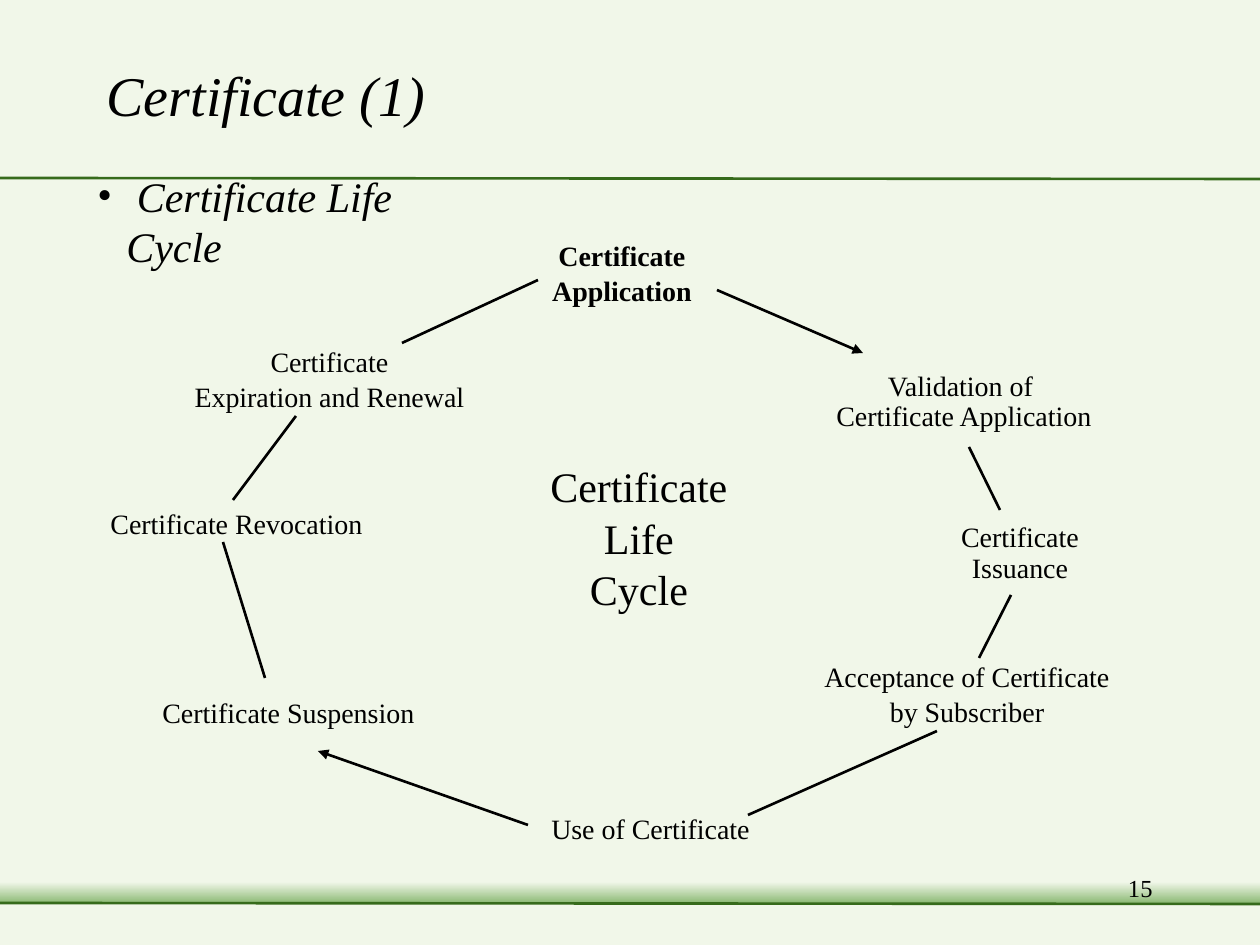
from lxml.etree import SubElement
from pptx import Presentation
from pptx.dml.color import RGBColor
from pptx.enum.shapes import MSO_CONNECTOR, MSO_SHAPE
from pptx.enum.text import MSO_ANCHOR, MSO_AUTO_SIZE, PP_ALIGN
from pptx.oxml.ns import qn
from pptx.util import Emu, Pt

FONT = "Times New Roman"
BLACK, GREEN, PALE, LEAF = "000000", "366B1B", "F1F7E9", "8DBA76"

STAGES = [
    ((538, 247, 168, 64), ["Certificate", "Application"], [0.5, 0.5]),
    ((822, 382, 284, 54), ["Validation of ", "Certificate Application"], [0.3, 0.4]),
    ((948, 530, 144, 58), ["Certificate", "Issuance"], [0.4, 0.4]),
    ((807, 668, 320, 64), ["Acceptance of Certificate", "by Subscriber"], [0.5, 0.5]),
    ((534, 805, 233, 47), ["Use of Certificate"], [1.0]),
    ((145, 689, 287, 47), ["Certificate Suspension"], [1.0]),
    ((93, 500, 287, 47), ["Certificate Revocation"], [1.0]),
    ((177, 353, 305, 64), ["Certificate", "Expiration and Renewal"], [0.5, 0.5]),
]
LINKS = [
    ((717, 290, 863, 353), True),
    ((969, 447, 1000, 510), False),
    ((1011, 595, 979, 658), False),
    ((937, 731, 748, 815), False),
    ((528, 825, 318, 751), True),
    ((265, 678, 223, 542), False),
    ((233, 500, 296, 416), False),
    ((402, 343, 538, 280), False),
]


def px(n):
    """Turn px at 126 to the inch into EMU."""
    return Emu(round(n * 914400 / 126))


def rgb(value):
    """Turn a hex string into a colour."""
    return RGBColor.from_string(value)


def set_font(p, size, bold=False, italic=False):
    """Format the font of a whole paragraph."""
    p.font.name, p.font.size = FONT, Pt(size)
    p.font.bold, p.font.italic = bold, italic
    p.font.color.rgb = rgb(BLACK)


def add_text(s, box, lines, size, spacing, gap=0, align=PP_ALIGN.CENTER,
             grow=True, bold=False, italic=False):
    """Add a text box with one paragraph for each line and return its frame."""
    tf = s.shapes.add_textbox(*map(px, box)).text_frame
    tf.word_wrap = True
    tf.auto_size = MSO_AUTO_SIZE.SHAPE_TO_FIT_TEXT if grow else MSO_AUTO_SIZE.NONE
    tf.vertical_anchor = MSO_ANCHOR.MIDDLE
    for i, (line, height) in enumerate(zip(lines, spacing)):
        p = tf.add_paragraph() if i else tf.paragraphs[0]
        p.text, p.alignment, p.line_spacing = line, align, height
        p.space_before = Pt(gap if i else 0)
        set_font(p, size, bold, italic)
    return tf


def add_line(s, ends, color=BLACK, arrow=False):
    """Add a straight line, with an arrowhead at its end if wanted."""
    c = s.shapes.add_connector(MSO_CONNECTOR.STRAIGHT, *map(px, ends))
    c.line.color.rgb, c.line.width = rgb(color), Pt(1.5)
    if arrow:
        SubElement(c.line._get_or_add_ln(), qn("a:tailEnd"), type="triangle")
    SubElement(c._element.spPr, qn("a:effectLst"))


def add_frame(s, width, top, bottom):
    """Add the header rule and the footer band with its rule."""
    add_line(s, (0, top, width, top + 1), GREEN)
    band = s.shapes.add_shape(MSO_SHAPE.RECTANGLE, 0, px(bottom - 21), px(width), px(21))
    band.shadow.inherit = False
    band.line.fill.background()
    band.fill.gradient()
    band.fill.gradient_angle = 270
    for stop, color, position in zip(band.fill.gradient_stops, (PALE, LEAF), (0, 1)):
        stop.color.rgb, stop.position = rgb(color), position
    add_line(s, (0, bottom, width, bottom + 1), GREEN)


def add_title(s, box, text):
    """Place and format the title."""
    sp = s.shapes.title
    sp.left, sp.top, sp.width, sp.height = map(px, box)
    tf = sp.text_frame
    tf.text, tf.auto_size = text, MSO_AUTO_SIZE.NONE
    tf.vertical_anchor = MSO_ANCHOR.MIDDLE
    p = tf.paragraphs[0]
    p.alignment = PP_ALIGN.LEFT
    set_font(p, 32, italic=True)


def add_bullet(s, box, text):
    """Add the bulleted subtitle."""
    tf = add_text(s, box, [text], 24, [1.0], align=PP_ALIGN.LEFT, grow=False, italic=True)
    pPr = tf.paragraphs[0]._p.get_or_add_pPr()
    pPr.set("marL", str(px(29)))
    pPr.set("indent", str(px(-29)))
    font = pPr.find(qn("a:defRPr"))
    for tag, attributes in (("a:buFont", {"typeface": FONT}), ("a:buChar", {"char": "•"})):
        font.addprevious(pPr.makeelement(qn(tag), attributes))


def add_cycle(s):
    """Add the stages of the life cycle, their links and the centre label."""
    for i, (box, lines, spacing) in enumerate(STAGES):
        add_text(s, box, lines, 16, spacing, gap=10, bold=i == 0)
    for ends, arrow in LINKS:
        add_line(s, ends, arrow=arrow)
    add_text(s, (538, 476, 202, 141), ["Certificate", "Life", "Cycle"], 24, [0.5] * 3, gap=15)


def main():
    """Build and save the slide."""
    prs = Presentation()
    prs.slide_width, prs.slide_height = px(1260), px(945)
    s = prs.slides.add_slide(prs.slide_layouts[5])
    s.background.fill.solid()
    s.background.fill.fore_color.rgb = rgb(PALE)
    add_frame(s, 1260, 178, 903)
    add_title(s, (94, 31, 1071, 126), "Certificate (1)")
    add_cycle(s)
    add_bullet(s, (85, 189, 420, 63), " Certificate Life Cycle")
    tf = add_text(s, (903, 867, 262, 63), ["15"], 14, [1.0], align=PP_ALIGN.RIGHT, grow=False)
    tf.vertical_anchor = MSO_ANCHOR.TOP
    prs.save("out.pptx")


if __name__ == "__main__":
    main()
